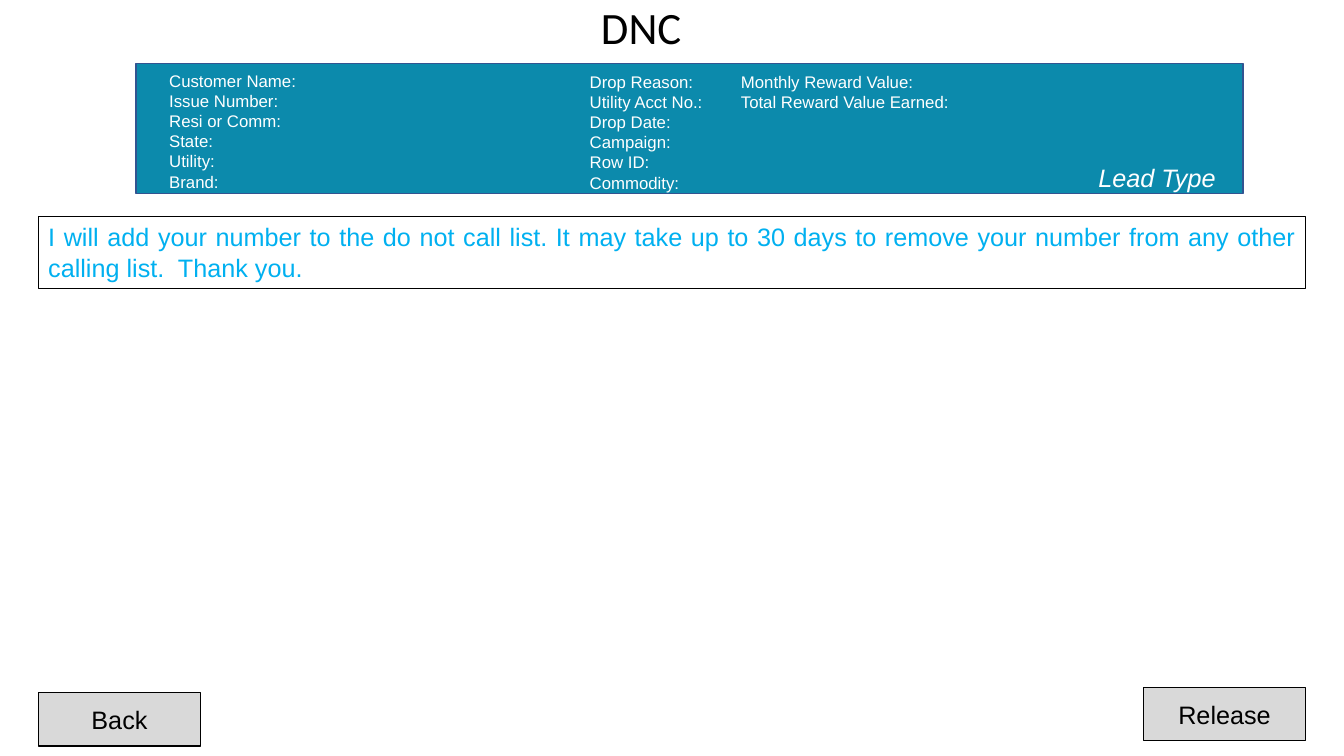
from pptx import Presentation
from pptx import util as u
from pptx.dml.color import RGBColor
from pptx.enum import shapes, text

PX = 9144
COLORS = {
    "black": "000000",
    "white": "FFFFFF",
    "script": "00B0F0",
    "button": "D9D9D9",
    "banner": "0C8AAC",
    "banner_line": "325491",
}
ALIGN = text.PP_ALIGN
ANCHOR = text.MSO_ANCHOR


def px(*lengths):
    return [u.Emu(length * PX) for length in lengths]


def color(name):
    return RGBColor.from_string(COLORS[name])


def write(shape, lines, size=18, font="Arial", ink="black", align=ALIGN.LEFT,
          anchor=ANCHOR.TOP, italic=None, spacing=None):
    frame = shape.text_frame
    frame.word_wrap = True
    frame.auto_size = text.MSO_AUTO_SIZE.NONE
    frame.vertical_anchor = anchor
    frame.text = "\n".join(lines)
    for paragraph in frame.paragraphs:
        paragraph.alignment = align
        paragraph.line_spacing = spacing
        for run in paragraph.runs:
            run.font.name = font
            run.font.size = u.Pt(size)
            run.font.italic = italic
            run.font.color.rgb = color(ink)


def add_title(slide, title, box):
    shape = slide.shapes.title
    shape.left, shape.top, shape.width, shape.height = px(*box)
    write(shape, [title], size=32, font="Calibri", align=ALIGN.CENTER,
          anchor=ANCHOR.MIDDLE, spacing=0.9)


def add_box(slide, box, fill=None, line="black", weight=1):
    shape = slide.shapes.add_shape(shapes.MSO_SHAPE.RECTANGLE, *px(*box))
    shape.shadow.inherit = False
    if fill:
        shape.fill.solid()
        shape.fill.fore_color.rgb = color(fill)
    else:
        shape.fill.background()
    shape.line.color.rgb = color(line)
    shape.line.width = u.Pt(weight)
    return shape


def add_label(slide, box, lines, **formatting):
    write(slide.shapes.add_textbox(*px(*box)), lines, ink="white", **formatting)


def add_button(slide, caption, left, top):
    button = add_box(slide, (left, top, 161, 53), fill="button")
    write(button, [caption], align=ALIGN.CENTER, anchor=ANCHOR.MIDDLE)


def add_banner(slide):
    add_box(slide, (135, 63, 1098, 129), fill="banner", line="banner_line")
    add_label(slide, (158, 65, 224, 131), [
        "Customer Name:", "Issue Number:", "Resi or Comm:",
        "State:", "Utility:", "Brand:",
    ], size=12)
    add_label(slide, (575, 66, 471, 131), [
        "Drop Reason:\tMonthly Reward Value:",
        "Utility Acct No.:\tTotal Reward Value Earned:",
        "Drop Date:", "Campaign:", "Row ID:", "Commodity:",
    ], size=12)
    add_label(slide, (1073, 156, 149, 40), ["Lead Type"],
              italic=True, align=ALIGN.CENTER)


def main():
    presentation = Presentation()
    presentation.slide_width, presentation.slide_height = px(1333, 750)
    slide = presentation.slides.add_slide(presentation.slide_layouts[5])

    statement = add_box(slide, (38, 215, 1257, 71), weight=0.75)
    write(statement, [
        "I will add your number to the do not call list. It may take up to "
        "30 days to remove your number from any other calling list.  Thank you."
    ], ink="script", align=ALIGN.JUSTIFY)
    add_title(slide, "DNC", (61, 12, 1150, 35))
    add_button(slide, "Release", 1134, 682)
    add_button(slide, "Back", 38, 687)
    add_banner(slide)

    presentation.save("out.pptx")


if __name__ == "__main__":
    main()
